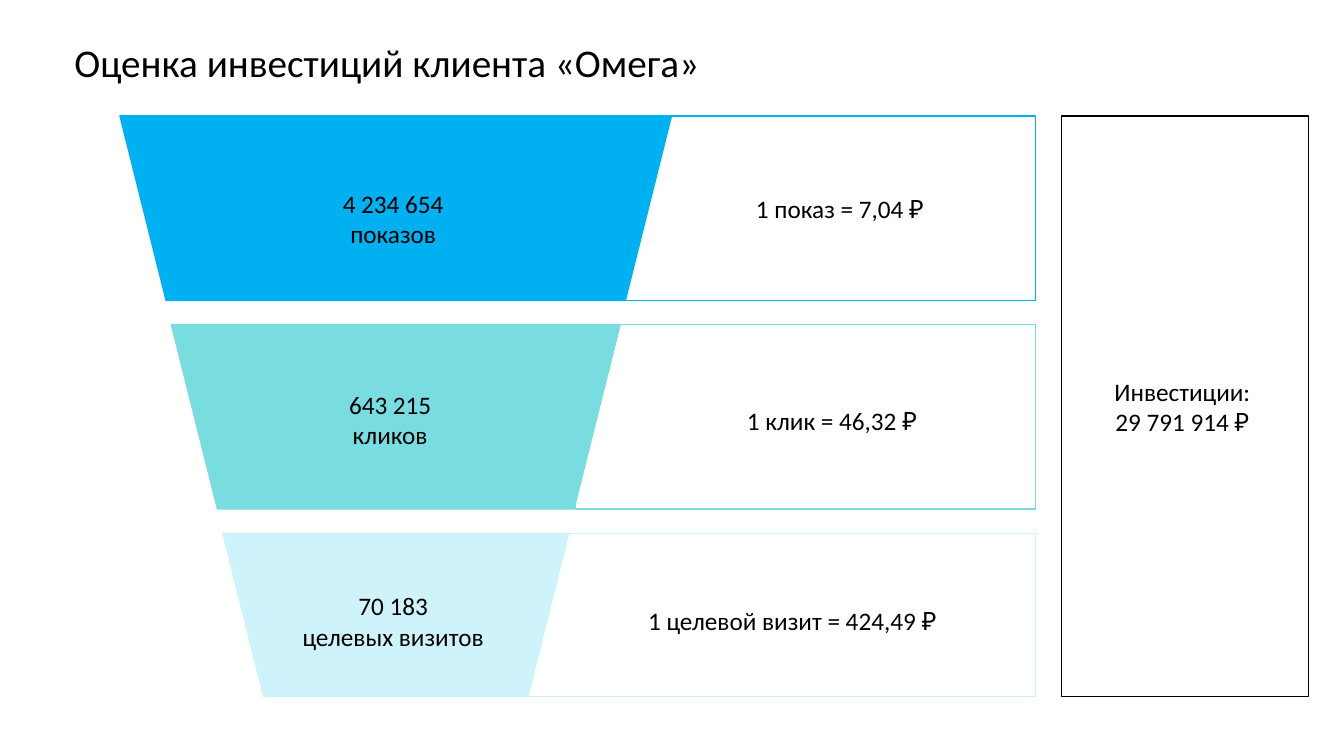
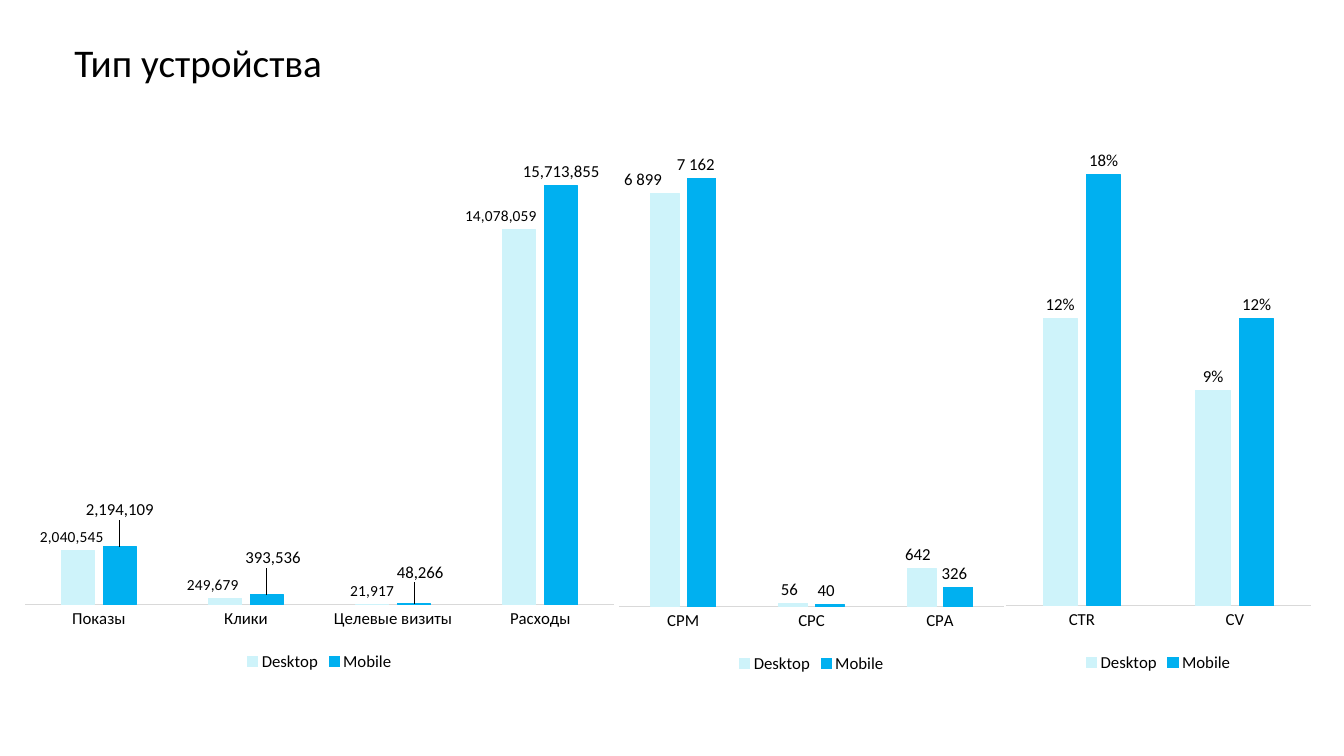
"""Build the client investment funnel and the device type comparison."""
import copy

import pptx
import pptx.chart.data
import pptx.dml.color
import pptx.enum.chart
import pptx.enum.shapes
import pptx.enum.text
import pptx.oxml
import pptx.oxml.ns
import pptx.util

Inches, Pt = pptx.util.Inches, pptx.util.Pt
RGBColor = pptx.dml.color.RGBColor
SHAPE = pptx.enum.shapes.MSO_SHAPE
ALIGN = pptx.enum.text.PP_ALIGN
ANCHOR = pptx.enum.text.MSO_ANCHOR

FONT = "Calibri"
BLACK = RGBColor(0x00, 0x00, 0x00)
WHITE = RGBColor(0xFF, 0xFF, 0xFF)
BLUE = RGBColor(0x00, 0xB0, 0xF0)
TEAL = RGBColor(0x79, 0xDC, 0xE1)
PALE = RGBColor(0xCE, 0xF3, 0xFA)
GREY = RGBColor(0xD9, 0xD9, 0xD9)

FUNNEL_TITLE = "Оценка инвестиций клиента «Омега»"
DEVICE_TITLE = "Тип устройства"
INVESTMENT = ["Инвестиции: ", "29 791 914 ₽ "]

STAGES = [
    {"color": BLUE, "height": 1.83, "frame_left": 6.15,
     "volume": ["4 234 654", "показов"], "volume_at": (2.8, 1.82, 2.2, 0.71),
     "price": "1 показ = 7,04 ₽ ", "price_at": (7.4, 1.87, 2.4, 0.4)},
    {"color": TEAL, "height": 1.83, "frame_left": 5.71,
     "volume": ["643 215", "кликов"], "volume_at": (2.77, 3.81, 2.2, 0.71),
     "price": "1 клик = 46,32 ₽ ", "price_at": (7.31, 3.97, 2.4, 0.4)},
    {"color": PALE, "height": 1.62, "frame_left": 5.08,
     "volume": ["70 183", "целевых визитов"], "volume_at": (2.73, 5.81, 2.34, 0.71),
     "price": "1 целевой визит = 424,49 ₽ ", "price_at": (6.33, 5.96, 3.27, 0.4)},
]
FUNNEL_TOP, STAGE_STEP = 1.15, 2.07
FUNNEL_LEFT, FUNNEL_WIDTH, STAGE_INSET = 1.19, 5.47, 0.51
FRAME_RIGHT = 10.27

PERCENT = "0%"
COUNT = '_(* #,##0_);_(* \\(#,##0\\);_(* "-"_);_(@_)'
MONEY = '_-* #\\ ##0\\ _₽_-;\\-* #\\ ##0\\ _₽_-;_-* "-"??\\ _₽_-;_-@_-'
SERIES_COLORS = {"Desktop": PALE, "Mobile": BLUE}
CHARTS = [
    {"at": (9.91, 1.15, 3.16, 5.56), "format": PERCENT, "maximum": 0.2,
     "categories": ["CTR", "CV"], "sizes": (12, 12),
     "values": {"Desktop": (0.12, 0.09), "Mobile": (0.18, 0.12)},
     "label_shifts": {}},
    {"at": (0.13, 1.13, 6.08, 5.57), "format": COUNT, "maximum": 18000000,
     "categories": ["Показы", "Клики", "Целевые визиты", "Расходы"], "sizes": (11, 12),
     "values": {"Desktop": (2040545, 249679, 21917, 14078059),
                "Mobile": (2194109, 393536, 48266, 15713855)},
     "label_shifts": {"Desktop": {0: (-0.01, 0), 1: (-0.02, 0), 3: (-0.03, 0)},
                      "Mobile": {0: (0, -0.04), 1: (0.01, -0.04), 2: (0.01, -0.03)}}},
    {"at": (6.06, 1.16, 3.98, 5.56), "format": MONEY, "maximum": 8000,
     "categories": ["CPM", "CPC", "CPA"], "sizes": (12, 12),
     "values": {"Desktop": (6899, 56, 642), "Mobile": (7162, 40, 326)},
     "label_shifts": {"Desktop": {0: (-0.04, 0)}}},
]


def inches(lengths):
    return [Inches(length) for length in lengths]


def write(shape, lines, size=18, align=ALIGN.LEFT, anchor=ANCHOR.TOP, spacing=None):
    frame = shape.text_frame
    frame.word_wrap = True
    frame.vertical_anchor = anchor
    frame.text = "\n".join(lines)
    for paragraph in frame.paragraphs:
        paragraph.alignment = align
        paragraph.line_spacing = spacing
        style_font(paragraph.font, size)


def style_font(font, size):
    font.name = FONT
    font.size = Pt(size)
    font.color.rgb = BLACK


def add_text(slide, at, lines, **style):
    write(slide.shapes.add_textbox(*inches(at)), lines, **style)


def add_block(slide, kind, at, line, fill=None):
    shape = slide.shapes.add_shape(kind, *inches(at))
    shape.shadow.inherit = False
    shape.line.color.rgb = line
    shape.line.width = Pt(1)
    if fill is None:
        shape.fill.background()
    else:
        shape.fill.solid()
        shape.fill.fore_color.rgb = fill
    return shape


def add_slide(presentation, title):
    slide = presentation.slides.add_slide(presentation.slide_layouts[6])
    add_text(slide, (0.64, 0.12, 11.5, 1.04), [title], size=28,
             anchor=ANCHOR.MIDDLE, spacing=0.9)
    return slide


def add_stage(slide, index, stage):
    top = FUNNEL_TOP + index * STAGE_STEP
    left = FUNNEL_LEFT + index * STAGE_INSET
    width = FUNNEL_WIDTH - 2 * index * STAGE_INSET
    color, height, frame_left = stage["color"], stage["height"], stage["frame_left"]
    add_block(slide, SHAPE.RECTANGLE,
              (frame_left, top, FRAME_RIGHT - frame_left, height), color)
    trapezoid = add_block(slide, SHAPE.TRAPEZOID, (left, top, width, height), color, color)
    trapezoid.rotation = 180
    add_text(slide, stage["volume_at"], stage["volume"], align=ALIGN.CENTER)
    add_text(slide, stage["price_at"], [stage["price"]])


def shift_label(series, index, shift, size):
    label = series.points[index].data_label
    label.position = pptx.enum.chart.XL_LABEL_POSITION.OUTSIDE_END
    style_font(label.font, size)
    labels = series._element.find(pptx.oxml.ns.qn("c:dLbls"))
    element = labels.xpath(f"c:dLbl[c:idx/@val='{index}']")[0]
    layout = pptx.oxml.parse_xml(
        f'<c:layout {pptx.oxml.ns.nsdecls("c")}><c:manualLayout>'
        f'<c:x val="{shift[0]}"/><c:y val="{shift[1]}"/></c:manualLayout></c:layout>')
    element.insert(1, layout)
    element.insert(2, copy.deepcopy(labels.find(pptx.oxml.ns.qn("c:numFmt"))))


def style_series(series, size, number_format, shifts):
    color = SERIES_COLORS[series.name]
    series.format.fill.solid()
    series.format.fill.fore_color.rgb = color
    series.format.line.color.rgb = color
    series.format.line.width = Pt(0.75)
    labels = series.data_labels
    labels.show_value = True
    labels.number_format = number_format
    labels.number_format_is_linked = False
    labels.position = pptx.enum.chart.XL_LABEL_POSITION.OUTSIDE_END
    style_font(labels.font, size)
    for index, shift in shifts.items():
        shift_label(series, index, shift, size)


def add_column_chart(slide, content):
    data = pptx.chart.data.CategoryChartData(number_format=content["format"])
    data.categories = content["categories"]
    for name, values in content["values"].items():
        data.add_series(name, values)
    chart = slide.shapes.add_chart(pptx.enum.chart.XL_CHART_TYPE.COLUMN_CLUSTERED,
                                   *inches(content["at"]), data).chart
    style_font(chart.font, 10)
    chart.has_title = False
    chart.has_legend = True
    chart.legend.position = pptx.enum.chart.XL_LEGEND_POSITION.BOTTOM
    chart.legend.include_in_layout = False
    style_font(chart.legend.font, 12)
    axis = chart.category_axis
    axis.major_tick_mark = pptx.enum.chart.XL_TICK_MARK.NONE
    axis.format.line.color.rgb = GREY
    axis.format.line.width = Pt(0.75)
    style_font(axis.tick_labels.font, 12)
    chart.value_axis.visible = False
    chart.value_axis.has_major_gridlines = False
    chart.value_axis.minimum_scale = 0
    chart.value_axis.maximum_scale = content["maximum"]
    plot = chart.plots[0]
    plot.vary_by_categories = False
    plot.gap_width = 219
    plot.overlap = -27
    for series, size in zip(plot.series, content["sizes"]):
        style_series(series, size, content["format"],
                     content["label_shifts"].get(series.name, {}))


presentation = pptx.Presentation()
presentation.slide_width, presentation.slide_height = inches((13.33, 7.5))

funnel_slide = add_slide(presentation, FUNNEL_TITLE)
for stage_index, stage_content in enumerate(STAGES):
    add_stage(funnel_slide, stage_index, stage_content)
investment_box = add_block(funnel_slide, SHAPE.RECTANGLE, (10.53, 1.15, 2.45, 5.76),
                           BLACK, WHITE)
write(investment_box, INVESTMENT, align=ALIGN.CENTER, anchor=ANCHOR.MIDDLE)

device_slide = add_slide(presentation, DEVICE_TITLE)
for chart_content in CHARTS:
    add_column_chart(device_slide, chart_content)

presentation.save("out.pptx")
